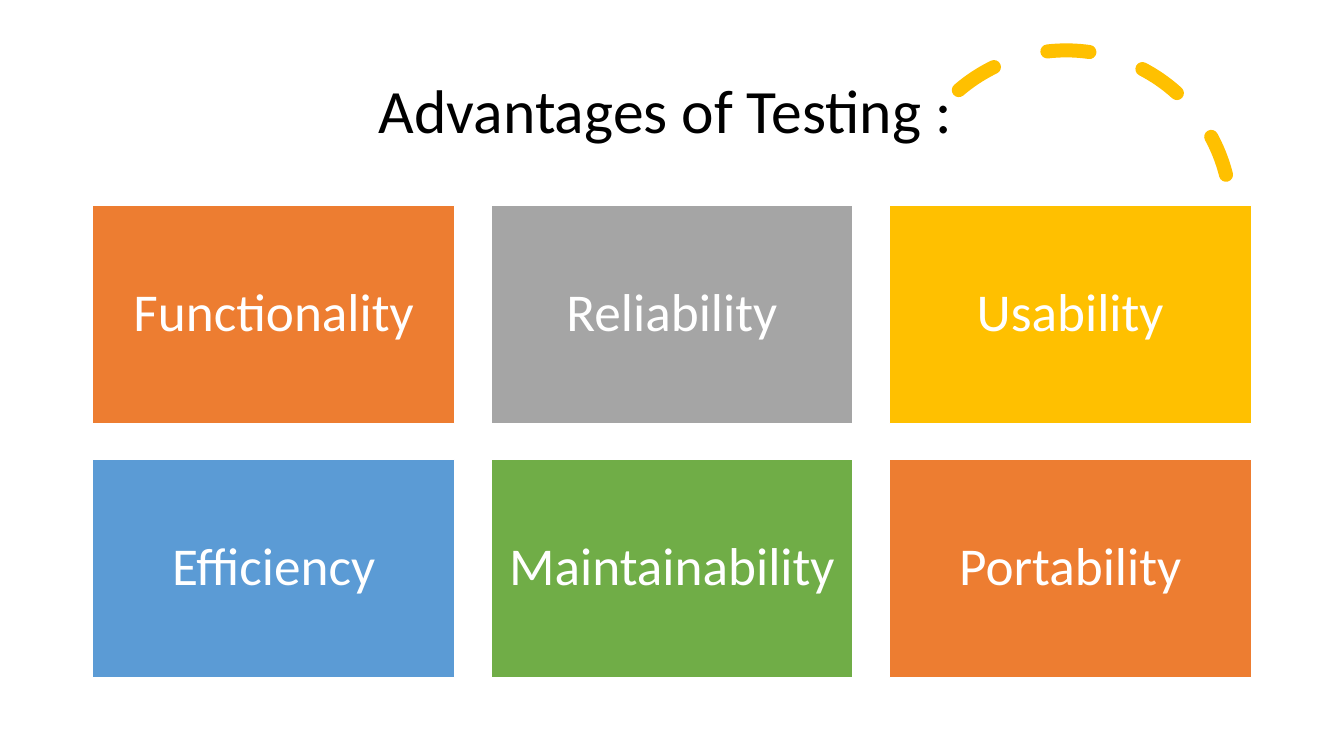
import pptx
import pptx.util
import pptx.dml.color
import pptx.enum.dml
import pptx.enum.shapes
import pptx.enum.text

Inches = pptx.util.Inches
Pt = pptx.util.Pt
RGBColor = pptx.dml.color.RGBColor
SHAPE = pptx.enum.shapes.MSO_SHAPE

BLACK = RGBColor(0x00, 0x00, 0x00)
WHITE = RGBColor(0xFF, 0xFF, 0xFF)
ORANGE = RGBColor(0xED, 0x7D, 0x31)
GRAY = RGBColor(0xA5, 0xA5, 0xA5)
GOLD = RGBColor(0xFF, 0xC0, 0x00)
BLUE = RGBColor(0x5B, 0x9B, 0xD5)
GREEN = RGBColor(0x70, 0xAD, 0x47)

# Content
TITLE = "Advantages of Testing : "
TILES = [
    ("Functionality", ORANGE),
    ("Reliability", GRAY),
    ("Usability", GOLD),
    ("Efficiency", BLUE),
    ("Maintainability", GREEN),
    ("Portability", ORANGE),
]

# Grid, in inches
COLS = 3
LEFT, TOP = 0.92, 2.04
WIDTH, HEIGHT = 3.59, 2.16
GAP = 0.36


def write(shape, text, size, color, inset=None):
    frame = shape.text_frame
    frame.word_wrap = True
    frame.vertical_anchor = pptx.enum.text.MSO_ANCHOR.MIDDLE
    if inset is not None:
        frame.margin_left = frame.margin_right = Inches(inset)
        frame.margin_top = frame.margin_bottom = Inches(inset)
    para = frame.paragraphs[0]
    para.alignment = pptx.enum.text.PP_ALIGN.CENTER
    para.line_spacing = 0.9
    run = para.add_run()
    run.text = text
    run.font.name = "Calibri"
    run.font.size = Pt(size)
    run.font.color.rgb = color


def main():
    deck = pptx.Presentation()
    deck.slide_width, deck.slide_height = Inches(13.33), Inches(7.5)
    shapes = deck.slides.add_slide(deck.slide_layouts[6]).shapes

    # Dashed arc
    arc = shapes.add_shape(SHAPE.ARC, Inches(8.94), Inches(0.5), Inches(3.27), Inches(3.27))
    arc.shadow.inherit = False
    arc.rotation = 345.8
    arc.adjustments[0] = 146.13
    arc.adjustments[1] = 0
    arc.fill.background()
    arc.line.color.rgb = GOLD
    arc.line.width = Pt(10)
    arc.line.dash_style = pptx.enum.dml.MSO_LINE.DASH
    arc.line._get_or_add_ln().set("cap", "rnd")

    # Title
    title = shapes.add_textbox(Inches(0.92), Inches(0.4), Inches(11.5), Inches(1.45))
    write(title, TITLE, size=44, color=BLACK)

    # Tiles
    for i, (label, color) in enumerate(TILES):
        row, col = divmod(i, COLS)
        x = LEFT + col * (WIDTH + GAP)
        y = TOP + row * (HEIGHT + GAP)
        tile = shapes.add_shape(SHAPE.RECTANGLE, Inches(x), Inches(y), Inches(WIDTH), Inches(HEIGHT))
        tile.shadow.inherit = False
        tile.fill.solid()
        tile.fill.fore_color.rgb = color
        tile.line.color.rgb = WHITE
        tile.line.width = Pt(1)
        write(tile, label, size=38, color=WHITE, inset=0.16)

    deck.save("out.pptx")


if __name__ == "__main__":
    main()
